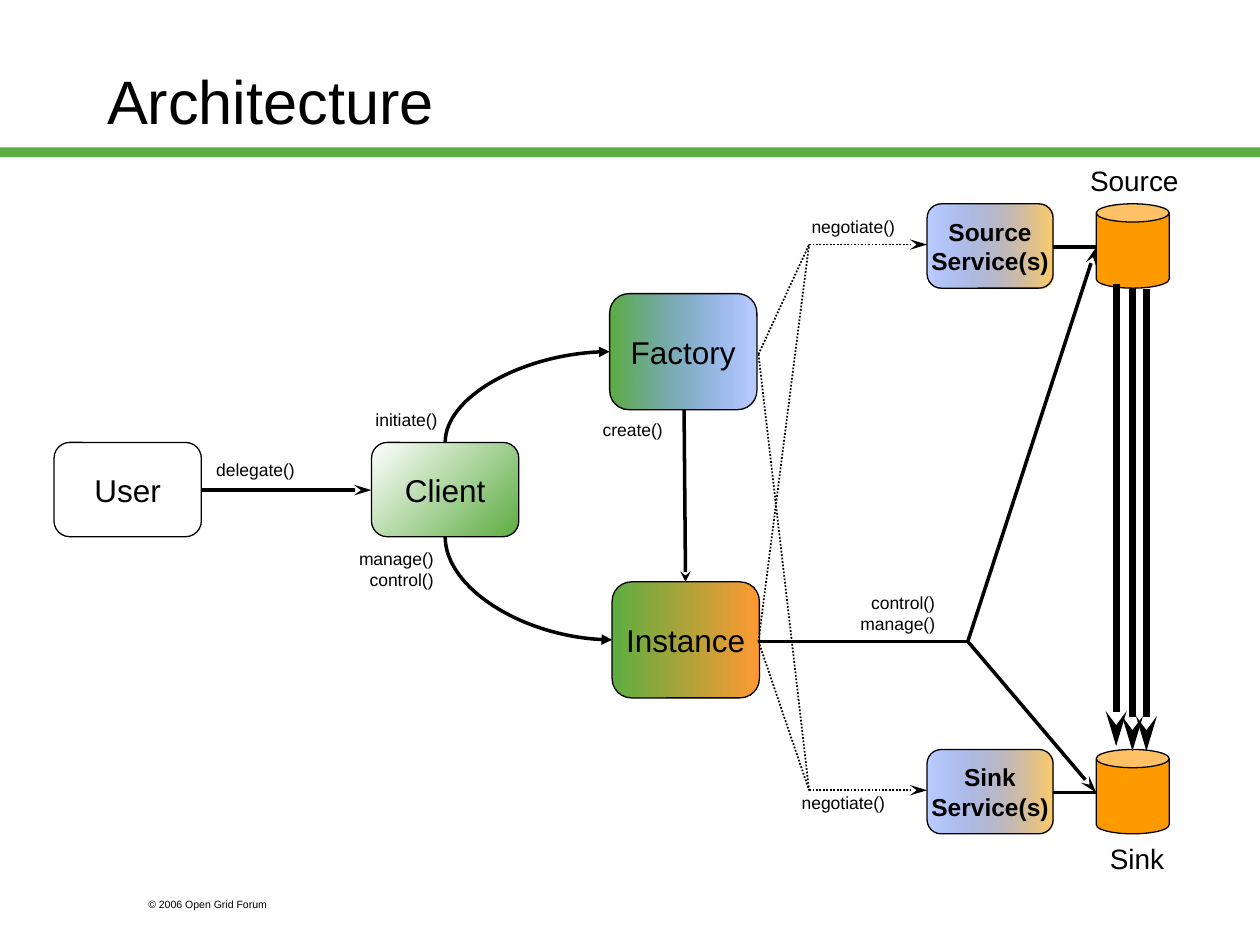
"""Build the Architecture slide: a delegation flow from user to source and sink."""
from lxml import etree
from pptx import Presentation
from pptx import util as u
from pptx.dml import color
from pptx.enum import dml, shapes, text
from pptx.oxml import ns

COLORS = {"black": "000000", "white": "FFFFFF", "green": "5DAD41", "blue": "1E58FF",
          "amber": "FFCC66", "orange": "FF9933", "can": "FF9900"}
RGB = {k: color.RGBColor.from_string(v) for k, v in COLORS.items()}
ALIGN = text.PP_ALIGN


def write(s, words, size=18, bold=False, align=ALIGN.CENTER, middle=True, wrap=False):
    tf = s.text_frame
    tf.text = words
    tf.word_wrap = wrap
    tf.vertical_anchor = text.MSO_ANCHOR.MIDDLE if middle else text.MSO_ANCHOR.TOP
    for p in tf.paragraphs:
        p.alignment = align
        for r in p.runs:
            r.font.name = "Arial"
            r.font.size = u.Pt(size)
            r.font.bold = bold
            r.font.color.rgb = RGB["black"]


def connect(x1, y1, x2, y2, width=2, tail=None, head=None, length="lg", dotted=False, curved=False):
    kind = shapes.MSO_CONNECTOR.CURVE if curved else shapes.MSO_CONNECTOR.STRAIGHT
    c = sl.shapes.add_connector(kind, u.Cm(x1), u.Cm(y1), u.Cm(x2), u.Cm(y2))
    c.line.color.rgb = RGB["black"]
    c.line.width = u.Pt(width)
    if dotted:
        c.line.dash_style = dml.MSO_LINE.ROUND_DOT
    for tag, arrow in (("a:headEnd", head), ("a:tailEnd", tail)):
        if arrow:
            etree.SubElement(c.line._get_or_add_ln(), ns.qn(tag), type=arrow, len=length)
    etree.SubElement(c._element.spPr, ns.qn("a:effectLst"))
    return c


prs = Presentation()
prs.slide_width, prs.slide_height = u.Cm(25.4), u.Cm(19.05)
sl = prs.slides.add_slide(prs.slide_layouts[6])

s = sl.shapes.add_shape(shapes.MSO_SHAPE.RECTANGLE, 0, u.Cm(2.97), prs.slide_width, u.Cm(0.2))
s.shadow.inherit = False
s.fill.solid()
s.fill.fore_color.rgb = RGB["green"]
s.line.fill.background()

service = {"size": 14, "bold": True}
boxes = {}
for words, x, y, w, h, fill, angle, style in [
    ("Source\nService(s)", 18.69, 4.11, 2.54, 1.7, ("blue", "amber"), 0, service),
    ("Sink\nService(s)", 18.69, 15.11, 2.54, 1.7, ("blue", "amber"), 0, service),
    ("User", 1.09, 8.92, 2.97, 1.9, ("white",), 0, {}),
    ("Client", 7.49, 8.92, 2.97, 1.9, ("white", "green"), 315, {}),
    ("Factory", 12.29, 5.92, 2.97, 2.34, ("green", "blue"), 0, {}),
    ("Instance", 12.34, 11.73, 2.97, 2.34, ("green", "orange"), 0, {}),
]:
    s = sl.shapes.add_shape(shapes.MSO_SHAPE.ROUNDED_RECTANGLE, u.Cm(x), u.Cm(y), u.Cm(w), u.Cm(h))
    s.shadow.inherit = False
    s.line.color.rgb = RGB["black"]
    s.line.width = u.Pt(0.75)
    if len(fill) == 1:
        s.fill.solid()
        s.fill.fore_color.rgb = RGB[fill[0]]
    else:
        s.fill.gradient()
        s.fill.gradient_angle = angle
        for stop, name in zip(s.fill.gradient_stops, fill):
            stop.color.rgb = RGB[name]
        for clr in s._element.spPr.iter(ns.qn("a:srgbClr")):
            if clr.get("val") == COLORS["blue"]:
                etree.SubElement(clr, ns.qn("a:alpha"), val="30000")
    write(s, words, **style)
    boxes[words] = s

for y in (4.11, 15.11):
    s = sl.shapes.add_shape(shapes.MSO_SHAPE.CAN, u.Cm(22.1), u.Cm(y), u.Cm(1.47), u.Cm(1.7))
    s.shadow.inherit = False
    s.fill.solid()
    s.fill.fore_color.rgb = RGB["can"]
    s.line.color.rgb = RGB["black"]
    s.line.width = u.Pt(0.75)
    connect(21.23, y + 0.87, 22.1, y + 0.87)

for x, y in ((22.83, 5.82), (23.11, 5.82), (22.5, 5.72)):
    connect(x, y, x, y + 9.32, width=4, tail="stealth")

connect(4.06, 9.88, 7.49, 9.88, tail="stealth")
connect(13.79, 8.26, 13.82, 11.73, tail="stealth", length="med")
connect(15.29, 12.93, 19.51, 12.93)
for y in (4.98, 15.98):
    connect(19.51, 12.93, 22.1, y, tail="stealth")

for y in (4.93, 15.93):
    for start in (7.14, 12.93):
        connect(15.29, start, 16.31, y, width=1, dotted=True)
    connect(16.31, y, 18.69, y, width=1, tail="stealth", dotted=True)

for name, x, y, client_y, site in (("Factory", 12.29, 7.09, 8.92, 0),
                                   ("Instance", 12.34, 12.9, 10.82, 2)):
    c = connect(x, y, 8.98, client_y, head="triangle", length="med", curved=True)
    c._element.spPr.find(ns.qn("a:prstGeom")).set("prst", "curvedConnector2")
    c.begin_connect(boxes[name], 1)
    c.end_connect(boxes["Client"], site)

for words, x, y, w, h, size, align, wrap in [
    ("Architecture", 1.91, 0.43, 21.59, 3.18, 35, ALIGN.LEFT, True),
    ("© 2006 Open Grid Forum", 2.74, 17.98, 3.81, 0.51, 6, ALIGN.LEFT, True),
    ("Source", 21.52, 3.18, 2.49, 0.94, 16, ALIGN.RIGHT, False),
    ("Sink", 21.92, 16.84, 1.8, 0.94, 16, ALIGN.RIGHT, False),
    ("delegate()", 3.69, 9.12, 2.5, 0.69, 10, ALIGN.RIGHT, False),
    ("initiate()", 6.97, 8.13, 2.1, 0.69, 10, ALIGN.RIGHT, False),
    ("manage() control()", 6.91, 10.92, 2.08, 1.12, 10, ALIGN.RIGHT, True),
    ("create()", 11.51, 8.33, 2.1, 0.69, 10, ALIGN.RIGHT, False),
    ("negotiate()", 15.29, 4.24, 3, 0.69, 10, ALIGN.RIGHT, True),
    ("negotiate()", 15.09, 15.85, 3, 0.69, 10, ALIGN.RIGHT, True),
    ("control()\nmanage()", 16.8, 11.81, 2.3, 1.12, 10, ALIGN.RIGHT, False),
]:
    s = sl.shapes.add_textbox(u.Cm(x), u.Cm(y), u.Cm(w), u.Cm(h))
    write(s, words, size=size, align=align, middle=words == "Architecture", wrap=wrap)

prs.save("out.pptx")
